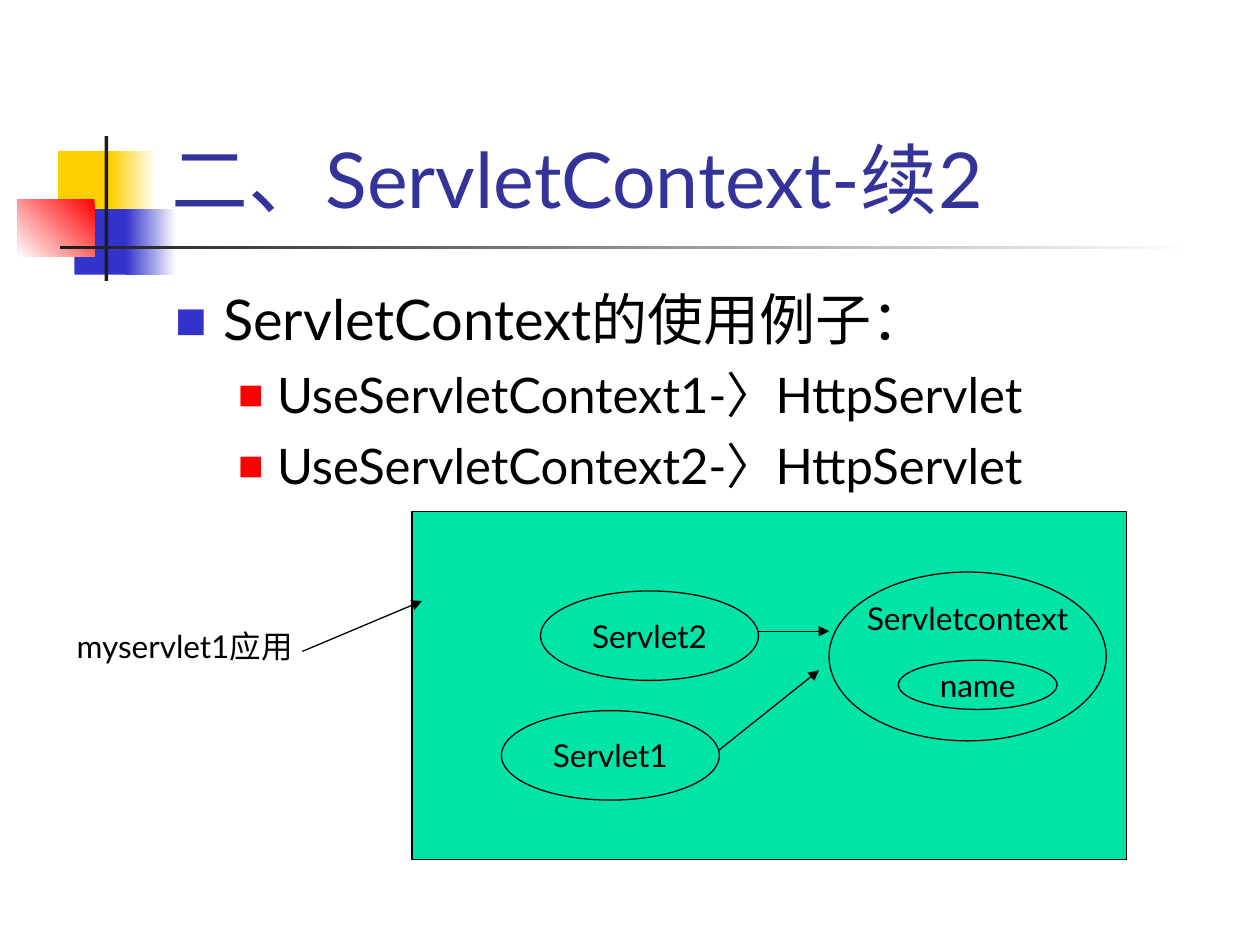
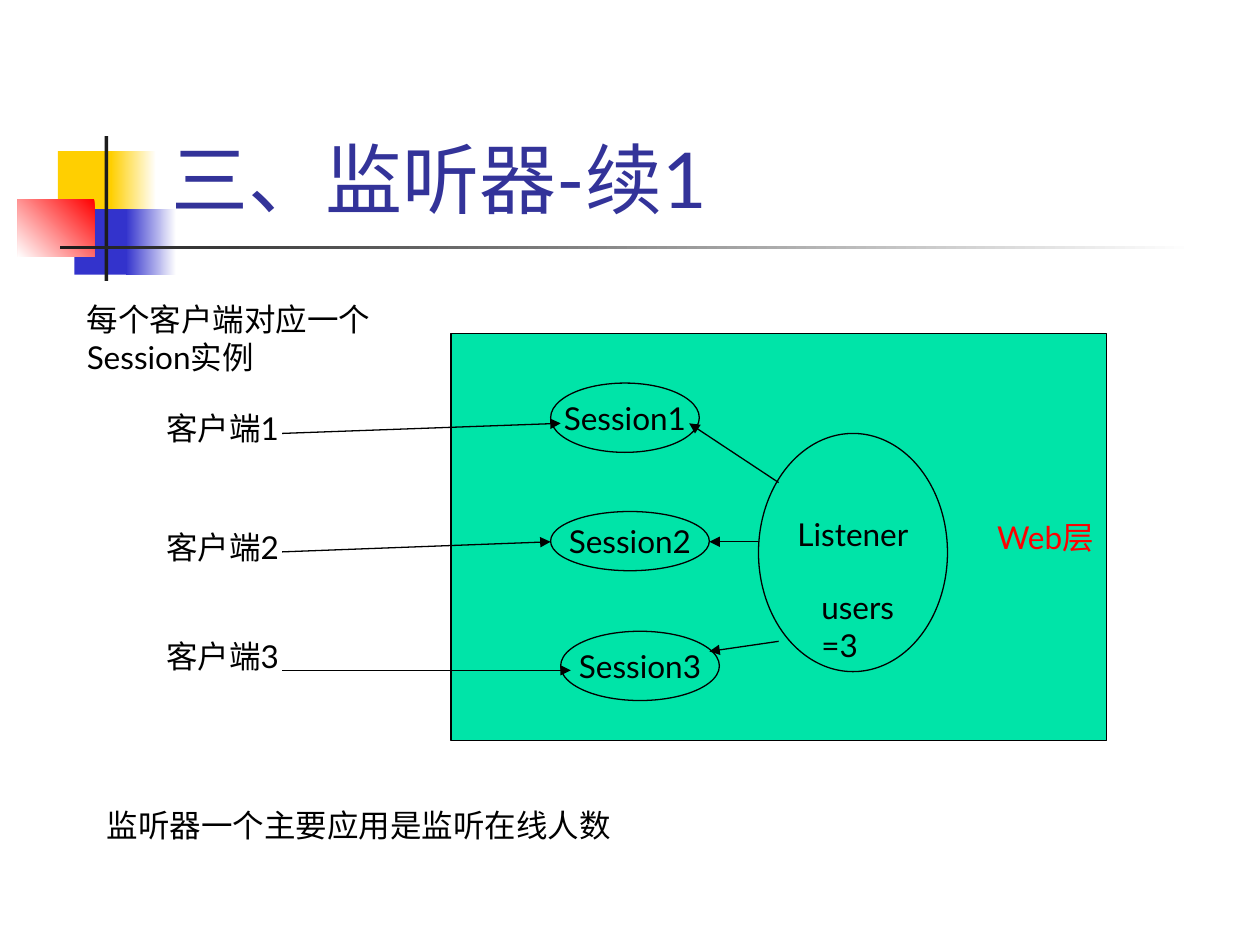
from lxml import etree
from pptx import Presentation
from pptx.dml.color import RGBColor
from pptx.enum import shapes, text
from pptx.oxml import ns
from pptx.util import Inches, Pt

FONT = "Lato"
BLACK, WHITE, RED, GREEN = "000000", "FFFFFF", "FF0000", "00E4A8"
YELLOW, BLUE, CHARCOAL, TITLE_BLUE = "FFCF01", "3333CC", "1C1C1C", "333399"
RECTANGLE, OVAL = shapes.MSO_SHAPE.RECTANGLE, shapes.MSO_SHAPE.OVAL
LEFT, CENTER, RIGHT = text.PP_ALIGN.LEFT, text.PP_ALIGN.CENTER, text.PP_ALIGN.RIGHT
TOP, MIDDLE, BOTTOM = text.MSO_ANCHOR.TOP, text.MSO_ANCHOR.MIDDLE, text.MSO_ANCHOR.BOTTOM


def paint(shape, fill, line=None, fade_to=None, angle=0):
    """Give a shape a solid fill, or a gradient when fade_to is set, and an outline."""
    shape.shadow.inherit = False
    if fade_to:
        shape.fill.gradient()
        shape.fill.gradient_angle = angle
        for stop, color in zip(shape.fill.gradient_stops, (fill, fade_to)):
            stop.color.rgb = RGBColor.from_string(color)
    else:
        shape.fill.solid()
        shape.fill.fore_color.rgb = RGBColor.from_string(fill)
    if line:
        shape.line.color.rgb = RGBColor.from_string(line)
        shape.line.width = Pt(0.75)
    else:
        shape.line.fill.background()


def write(shape, content, size=18, color=BLACK, align=LEFT, anchor=TOP, wrap=True,
          top=0.05, bottom=0.05, bullets=()):
    """Fill a shape with lines; each bullet is (level, size, color, percent, indent, hang, space)."""
    frame = shape.text_frame
    frame.text = content
    frame.word_wrap = wrap
    frame.auto_size = text.MSO_AUTO_SIZE.NONE
    frame.vertical_anchor = anchor
    frame.margin_top, frame.margin_bottom = Inches(top), Inches(bottom)
    for index, paragraph in enumerate(frame.paragraphs):
        paragraph.alignment = align
        font_size = size
        if bullets:
            level, font_size, bullet_color, percent, indent, hang, space = bullets[index]
            paragraph.level = level
            properties = paragraph._p.get_or_add_pPr()
            properties.set("marL", str(Inches(indent)))
            properties.set("indent", str(-Inches(hang)))
            holder = etree.SubElement(properties, ns.qn("a:buClr"))
            etree.SubElement(holder, ns.qn("a:srgbClr"), val=bullet_color)
            etree.SubElement(properties, ns.qn("a:buSzPct"), val=str(percent * 1000))
            etree.SubElement(properties, ns.qn("a:buFont"), typeface=FONT)
            etree.SubElement(properties, ns.qn("a:buChar"), char="■")
            paragraph.space_before = Pt(space)
        paragraph.font.name = FONT
        paragraph.font.size = Pt(font_size)
        paragraph.font.color.rgb = RGBColor.from_string(color)


presentation = Presentation()
presentation.slide_width, presentation.slide_height = Inches(10), Inches(7.5)
context_slide = presentation.slides.add_slide(presentation.slide_layouts[1])
listener_slide = presentation.slides.add_slide(presentation.slide_layouts[5])

# Corner blocks and title rule, moved to the master behind its placeholders
decorations = [
    ((0.46, 1.2, 0.48, 0.52), YELLOW, None, 0),
    ((0.88, 1.2, 0.36, 0.52), WHITE, YELLOW, 180),
    ((0.59, 1.66, 0.46, 0.52), BLUE, None, 0),
    ((1, 1.66, 0.4, 0.52), WHITE, BLUE, 180),
    ((0.14, 1.58, 0.61, 0.46), RED, WHITE, 225),
    ((0.83, 1.08, 0.03, 1.15), CHARCOAL, None, 0),
    ((0.48, 1.95, 9, 0.03), WHITE, CHARCOAL, 180),
]
for index, (box, fill, fade_to, angle) in enumerate(decorations):
    block = context_slide.shapes.add_shape(RECTANGLE, *map(Inches, box))
    paint(block, fill, fade_to=fade_to, angle=angle)
    block.element.nvSpPr.cNvPr.set("id", str(20 + index))
    presentation.slide_master.shapes.element.insert(2 + index, block.element)

# Titles
for slide, title in ((context_slide, "二、ServletContext-续2"), (listener_slide, "三、监听器-续1")):
    heading = slide.shapes.title
    heading.left, heading.top, heading.width, heading.height = map(Inches, (1.26, 0.23, 8.52, 1.6))
    write(heading, title, size=44, color=TITLE_BLUE, anchor=BOTTOM)

# Bulleted examples
body = context_slide.placeholders[1]
body.left, body.top, body.width, body.height = map(Inches, (1.29, 2.21, 8.5, 1.78))
sub_bullet = (1, 28, RED, 55, 0.81, 0.31, 7)
write(body, "ServletContext的使用例子：\nUseServletContext1-〉HttpServlet\nUseServletContext2-〉HttpServlet",
      bullets=[(0, 32, BLUE, 60, 0.38, 0.38, 0), sub_bullet, sub_bullet])

# Diagrams: slide, nodes, labels, arrows
centered = dict(align=CENTER, anchor=MIDDLE, wrap=False)
context_nodes = [
    (RECTANGLE, (3.27, 4.06, 5.67, 2.76), "", {}),
    (OVAL, (6.58, 4.54, 2.2, 1.34), "Servletcontext", dict(centered, anchor=TOP, top=0.02)),
    (OVAL, (3.98, 5.64, 1.73, 0.71), "Servlet1", centered),
    (OVAL, (4.29, 4.69, 1.73, 0.71), "Servlet2", centered),
    (OVAL, (7.13, 5.24, 1.26, 0.39), "name", centered),
]
context_labels = [((0.51, 4.93, 2.05, 0.4), "myservlet1应用")]
context_arrows = [
    (5.71, 5.95, 6.5, 5.32),
    (6.02, 5.01, 6.58, 5.01),
    (2.4, 5.17, 3.35, 4.77),
]
listener_nodes = [
    (RECTANGLE, (3.58, 2.65, 5.2, 3.23), "Web层", dict(centered, align=RIGHT, color=RED)),
    (OVAL, (4.37, 3.04, 1.18, 0.55), "Session1", centered),
    (OVAL, (4.37, 4.06, 1.26, 0.47), "Session2", centered),
    (OVAL, (4.45, 5.01, 1.26, 0.55), "Session3", centered),
    (OVAL, (6.02, 3.44, 1.5, 1.89), "Listener", dict(centered, bottom=0.35)),
]
listener_labels = [
    ((1.22, 3.2, 1.34, 0.4), "客户端1"),
    ((1.22, 4.14, 1.34, 0.4), "客户端2"),
    ((1.22, 5.01, 1.34, 0.4), "客户端3"),
    ((0.59, 2.33, 2.52, 0.7), "每个客户端对应一个Session实例"),
    ((0.75, 6.35, 6.46, 0.4), "监听器一个主要应用是监听在线人数"),
    ((6.42, 4.62, 0.87, 0.7), "users=3"),
]
listener_arrows = [
    (2.24, 3.44, 4.45, 3.36),
    (2.24, 4.38, 4.37, 4.3),
    (2.24, 5.32, 4.53, 5.32),
    (6.18, 3.83, 5.47, 3.36),
    (6.02, 4.3, 5.63, 4.3),
    (6.18, 5.09, 5.63, 5.17),
]
diagrams = [
    (context_slide, context_nodes, context_labels, context_arrows),
    (listener_slide, listener_nodes, listener_labels, listener_arrows),
]
for slide, nodes, labels, arrows in diagrams:
    for kind, box, caption, style in nodes:
        node = slide.shapes.add_shape(kind, *map(Inches, box))
        paint(node, GREEN, line=BLACK)
        if caption:
            write(node, caption, **style)
    for box, caption in labels:
        write(slide.shapes.add_textbox(*map(Inches, box)), caption)
    for ends in arrows:
        arrow = slide.shapes.add_connector(shapes.MSO_CONNECTOR.STRAIGHT, *map(Inches, ends))
        arrow.line.color.rgb = RGBColor.from_string(BLACK)
        arrow.line.width = Pt(0.75)
        etree.SubElement(arrow.line._get_or_add_ln(), ns.qn("a:tailEnd"), type="triangle")
        etree.SubElement(arrow.element.spPr, ns.qn("a:effectLst"))

presentation.save("out.pptx")
